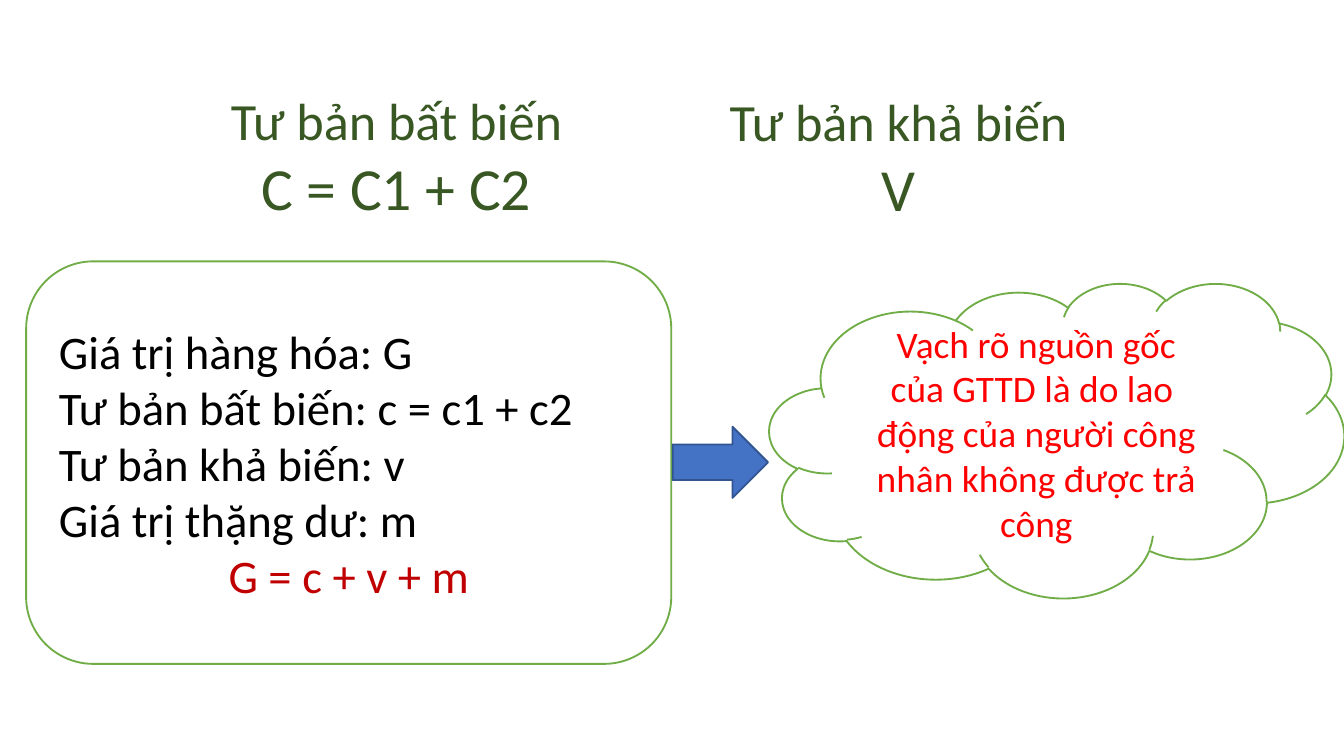
from dataclasses import dataclass

from pptx import Presentation
from pptx.dml.color import RGBColor
from pptx.enum.shapes import MSO_SHAPE as Preset
from pptx.enum.text import MSO_ANCHOR as Anchor, PP_ALIGN as Align
from pptx.slide import Slide
from pptx.text.text import TextFrame
from pptx.util import Emu, Pt

PX = 4572
PAGE_WIDTH, PAGE_HEIGHT = 2000, 1125
FONT = "Calibri"

WHITE = RGBColor(0xFF, 0xFF, 0xFF)
BLACK = RGBColor(0x00, 0x00, 0x00)
RED = RGBColor(0xFF, 0x00, 0x00)
DARK_RED = RGBColor(0xC0, 0x00, 0x00)
DARK_GREEN = RGBColor(0x38, 0x57, 0x23)
GREEN = RGBColor(0x70, 0xAD, 0x47)
BLUE = RGBColor(0x44, 0x72, 0xC4)
DARK_BLUE = RGBColor(0x32, 0x54, 0x91)


@dataclass(frozen=True)
class Box:
    left: int
    top: int
    width: int
    height: int

    def emu(self) -> tuple[Emu, ...]:
        return tuple(Emu(side * PX) for side in (self.left, self.top, self.width, self.height))


@dataclass(frozen=True)
class Line:
    text: str
    size: int
    color: RGBColor
    align: Align = Align.CENTER


@dataclass(frozen=True)
class Figure:
    preset: Preset
    box: Box
    fill: RGBColor
    outline: RGBColor
    lines: tuple[Line, ...] = ()


@dataclass(frozen=True)
class Heading:
    box: Box
    name: str
    formula: str


HEADINGS = (
    Heading(Box(291, 168, 598, 126), "Tư bản bất biến", "C = C1 + C2"),
    Heading(Box(998, 170, 678, 126), "Tư bản khả biến", "V"),
)

DEFINITIONS = (
    "Giá trị hàng hóa: G",
    "Tư bản bất biến: c = c1 + c2",
    "Tư bản khả biến: v",
    "Giá trị thặng dư: m",
)

CONCLUSION = (
    "Vạch rõ nguồn gốc",
    "của GTTD là do lao ",
    "động của người công nhân không được trả công",
)

FIGURES = (
    Figure(
        Preset.FLOWCHART_ALTERNATE_PROCESS, Box(39, 389, 960, 599), WHITE, GREEN,
        tuple(Line(text, 25, BLACK, Align.JUSTIFY) for text in DEFINITIONS)
        + (Line("G = c + v + m", 25, DARK_RED),),
    ),
    Figure(Preset.RIGHT_ARROW, Box(1001, 635, 142, 106), BLUE, DARK_BLUE),
    Figure(
        Preset.CLOUD, Box(1145, 421, 855, 468), WHITE, GREEN,
        tuple(Line(text, 20, RED) for text in CONCLUSION),
    ),
)


def write_lines(frame: TextFrame, lines: tuple[Line, ...]) -> None:
    frame.word_wrap = True
    frame.vertical_anchor = Anchor.MIDDLE
    for index, line in enumerate(lines):
        para = frame.add_paragraph() if index else frame.paragraphs[0]
        para.alignment = line.align
        span = para.add_run()
        span.text = line.text
        span.font.name = FONT
        span.font.size = Pt(line.size)
        span.font.color.rgb = line.color


def draw_heading(page: Slide, heading: Heading) -> None:
    box = page.shapes.add_textbox(*heading.box.emu())
    write_lines(box.text_frame, (
        Line(heading.name, 28, DARK_GREEN),
        Line(heading.formula, 32, DARK_GREEN),
    ))


def draw_figure(page: Slide, figure: Figure) -> None:
    shape = page.shapes.add_shape(figure.preset, *figure.box.emu())
    shape.shadow.inherit = False
    shape.fill.solid()
    shape.fill.fore_color.rgb = figure.fill
    shape.line.color.rgb = figure.outline
    shape.line.width = Pt(1)
    write_lines(shape.text_frame, figure.lines)


def main() -> None:
    deck = Presentation()
    deck.slide_width = Emu(PAGE_WIDTH * PX)
    deck.slide_height = Emu(PAGE_HEIGHT * PX)
    page = deck.slides.add_slide(deck.slide_layouts[6])
    for heading in HEADINGS:
        draw_heading(page, heading)
    for figure in FIGURES:
        draw_figure(page, figure)
    deck.save("out.pptx")


if __name__ == "__main__":
    main()
